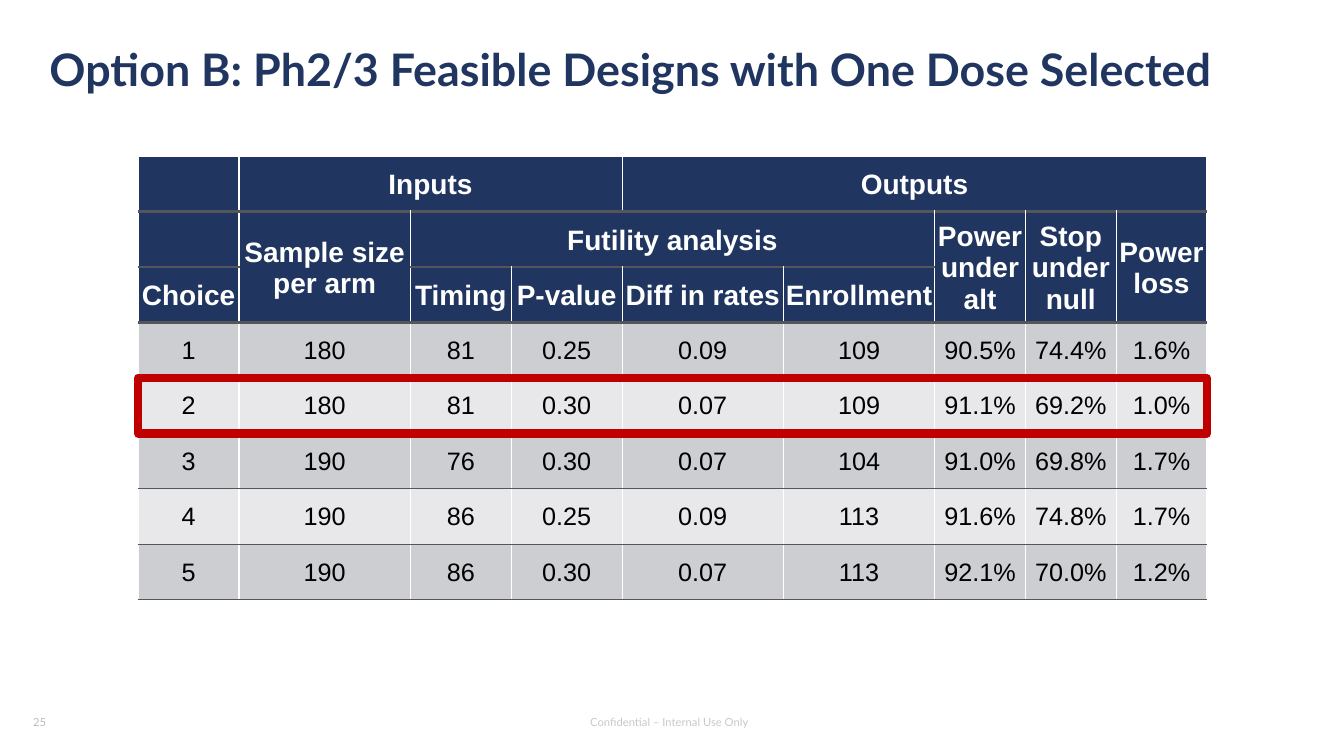
"""Build the slide on feasible Ph2/3 designs with one dose selected."""
from lxml.etree import SubElement
from pptx import Presentation
from pptx.dml.color import RGBColor
from pptx.enum.shapes import MSO_SHAPE
from pptx.enum.text import MSO_ANCHOR, PP_ALIGN
from pptx.oxml.ns import qn
from pptx.util import Pt

PX = 9144
NAVY = RGBColor(0x20, 0x36, 0x61)
WHITE = RGBColor(0xFF, 0xFF, 0xFF)
BLACK = RGBColor(0x00, 0x00, 0x00)
RULE_GRAY = RGBColor(0x54, 0x56, 0x5B)
BAND_DARK = RGBColor(0xCD, 0xCE, 0xD2)
BAND_LIGHT = RGBColor(0xE8, 0xE8, 0xEA)
FOOTER_GRAY = RGBColor(0xC6, 0xCA, 0xC6)
NUMBER_GRAY = RGBColor(0xB9, 0xBB, 0xBF)
RED = RGBColor(0xC0, 0x00, 0x00)


def write_text(holder, text, margins, anchor, alignment, font_format):
    frame = getattr(holder, "text_frame", holder)
    sides = ("margin_left", "margin_top", "margin_right", "margin_bottom")
    for side, margin in zip(sides, margins):
        setattr(holder, side, margin * PX)
    holder.vertical_anchor = anchor
    paragraph = frame.paragraphs[0]
    paragraph.alignment = alignment
    run = paragraph.add_run()
    run.text = text
    run.font.color.rgb = font_format["color"]
    for name in ("name", "size", "bold"):
        setattr(run.font, name, font_format[name])
    return paragraph


def add_border(cell, side, color, width):
    line = SubElement(cell._tc.get_or_add_tcPr(), qn(f"a:ln{side}"), w=str(Pt(width)))
    fill = SubElement(line, qn("a:solidFill"))
    SubElement(fill, qn("a:srgbClr"), val=str(color))


presentation = Presentation()
presentation.slide_width = 1333 * PX
presentation.slide_height = 750 * PX
slide = presentation.slides.add_slide(presentation.slide_layouts[6])

title_font = {"name": "Lato", "size": Pt(32), "bold": True, "color": NAVY}
footer_font = {"name": "Lato", "size": Pt(8), "bold": False, "color": FOOTER_GRAY}
number_font = {**footer_font, "color": NUMBER_GRAY}
TEXT_BOXES = [
    ("Confidential – Internal Use Only", (514, 700, 300, 32), (10, 5, 10, 5),
     MSO_ANCHOR.MIDDLE, PP_ALIGN.CENTER, footer_font, 1.0),
    ("25", (23, 700, 300, 32), (10, 5, 10, 5),
     MSO_ANCHOR.MIDDLE, PP_ALIGN.LEFT, number_font, 1.0),
    ("Option B: Ph2/3 Feasible Designs with One Dose Selected", (49, 47, 1232, 53),
     (0, 0, 0, 0), MSO_ANCHOR.TOP, PP_ALIGN.LEFT, title_font, 0.9),
]
for text, place, margins, anchor, alignment, font_format, spacing in TEXT_BOXES:
    frame = slide.shapes.add_textbox(*(length * PX for length in place)).text_frame
    frame.word_wrap = True
    paragraph = write_text(frame, text, margins, anchor, alignment, font_format)
    paragraph.line_spacing = spacing

COLUMN_WIDTHS = [100, 170, 100, 110, 160, 150, 90, 90, 90]
ROW_HEIGHT = 55
HEADER_ROWS = 3
TABLE_LEFT, TABLE_TOP, TABLE_WIDTH = 137, 155, sum(COLUMN_WIDTHS)
ROWS = [
    ["", "Inputs", "", "", "Outputs", "", "", "", ""],
    ["", "Sample size per arm", "Futility analysis", "", "", "",
     "Power under alt", "Stop under null", "Power loss"],
    ["Choice", "", "Timing", "P-value", "Diff in rates", "Enrollment", "", "", ""],
    ["1", "180", "81", "0.25", "0.09", "109", "90.5%", "74.4%", "1.6%"],
    ["2", "180", "81", "0.30", "0.07", "109", "91.1%", "69.2%", "1.0%"],
    ["3", "190", "76", "0.30", "0.07", "104", "91.0%", "69.8%", "1.7%"],
    ["4", "190", "86", "0.25", "0.09", "113", "91.6%", "74.8%", "1.7%"],
    ["5", "190", "86", "0.30", "0.07", "113", "92.1%", "70.0%", "1.2%"],
]
MERGES = [
    ((0, 1), (0, 3)), ((0, 4), (0, 8)), ((1, 2), (1, 5)),
    *(((1, column), (2, column)) for column in (1, 6, 7, 8)),
]
header_font = {"name": "Arial", "size": Pt(20), "bold": True, "color": WHITE}
body_font = {"name": "Arial", "size": Pt(18), "bold": False, "color": BLACK}

table = slide.shapes.add_table(
    len(ROWS), len(COLUMN_WIDTHS), TABLE_LEFT * PX, TABLE_TOP * PX,
    TABLE_WIDTH * PX, len(ROWS) * ROW_HEIGHT * PX).table
table.first_row = False
table.horz_banding = False
for column, width in zip(table.columns, COLUMN_WIDTHS):
    column.width = width * PX
for row in table.rows:
    row.height = ROW_HEIGHT * PX
for start, end in MERGES:
    table.cell(*start).merge(table.cell(*end))

for row_index, values in enumerate(ROWS):
    is_header = row_index < HEADER_ROWS
    if is_header:
        fill_color, font_format, margins = NAVY, header_font, (2, 2, 2, 0)
    else:
        fill_color = BAND_DARK if row_index % 2 else BAND_LIGHT
        font_format, margins = body_font, (1, 1, 1, 0)
    top_color = RULE_GRAY if row_index else WHITE
    top_width = 2.25 if 0 < row_index <= HEADER_ROWS else 1
    bottom_width = 2.25 if is_header else 1
    for column_index, text in enumerate(values):
        cell = table.cell(row_index, column_index)
        add_border(cell, "L", WHITE, 1)
        add_border(cell, "R", WHITE, 1)
        add_border(cell, "T", top_color, top_width)
        add_border(cell, "B", RULE_GRAY, bottom_width)
        cell.fill.solid()
        cell.fill.fore_color.rgb = fill_color
        if text:
            write_text(cell, text, margins, MSO_ANCHOR.MIDDLE, PP_ALIGN.CENTER, font_format)

HIGHLIGHTED_ROW = 4
highlight = slide.shapes.add_shape(
    MSO_SHAPE.RECTANGLE, TABLE_LEFT * PX, (TABLE_TOP + HIGHLIGHTED_ROW * ROW_HEIGHT) * PX,
    TABLE_WIDTH * PX, ROW_HEIGHT * PX)
highlight.shadow.inherit = False
highlight.fill.background()
highlight.line.color.rgb = RED
highlight.line.width = Pt(6)

presentation.save("out.pptx")
